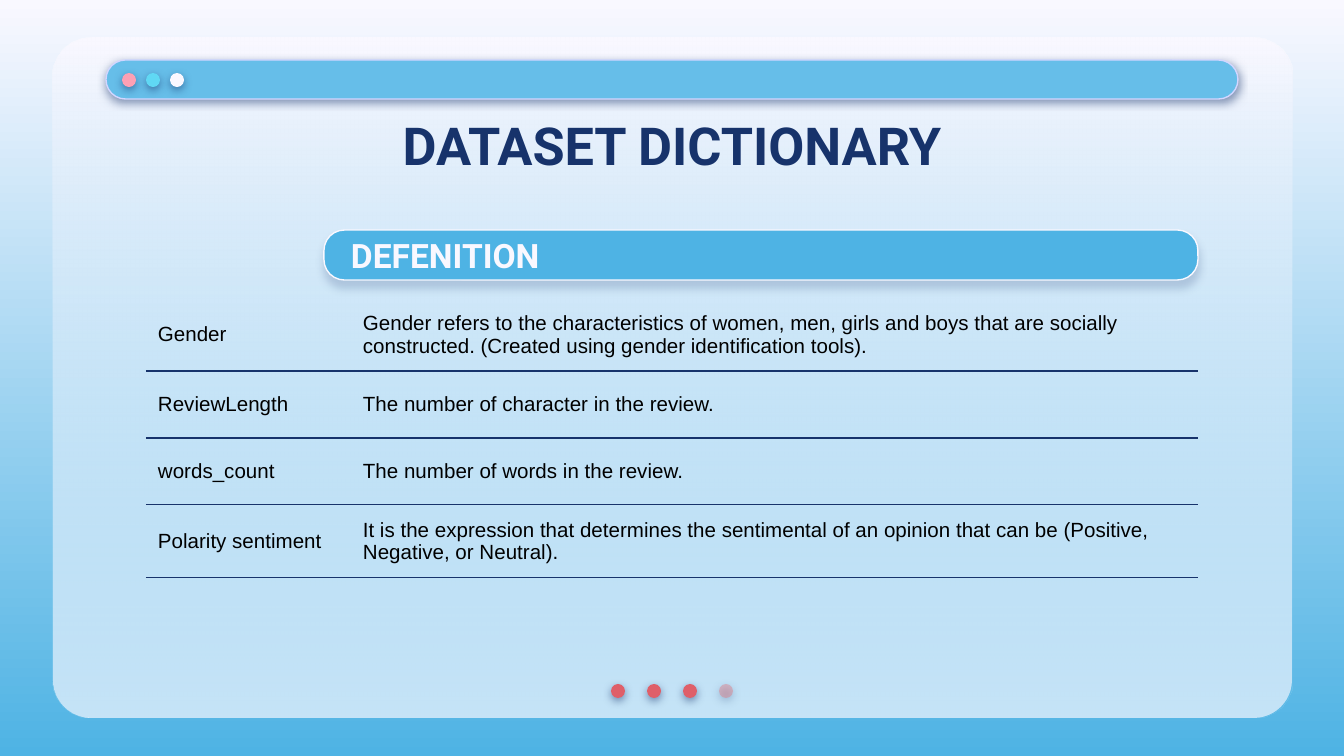
from dataclasses import dataclass

from lxml import etree
from pptx import Presentation
from pptx import util as u
from pptx.dml.color import RGBColor
from pptx.enum import shapes, text
from pptx.oxml import ns

PX = 914400 / 134.4


@dataclass(frozen=True)
class Theme:
    navy: str = "17336B"
    sky: str = "4EB3E4"
    light_sky: str = "66BEE9"
    paper: str = "F9F8FF"
    lilac: str = "D2D6FF"
    pink: str = "FDA0B4"
    cyan: str = "60D8F4"
    red: str = "DF5F69"
    faded_red: str = "E27B83"
    black: str = "000000"
    heading: str = "Roboto"
    body: str = "Arial"
    title_size: int = 28
    header_size: int = 18
    body_size: int = 11
    line: float = 0.75


THEME = Theme()
ROWS = [
    ("", "DEFENITION"),
    ("Gender", "Gender refers to the characteristics of women, men, girls and boys "
               "that are socially constructed. (Created using gender identification tools)."),
    ("ReviewLength", "The number of character in the review."),
    ("words_count", "The number of words in the review."),
    ("Polarity sentiment", "It is the expression that determines the sentimental of an opinion "
                           "that can be (Positive, Negative, or Neutral)."),
]


def px(value):
    return u.Emu(round(value * PX))


def rgb(color):
    return RGBColor.from_string(color)


def child(parent, tag, **attributes):
    return etree.SubElement(parent, ns.qn(tag), {k: str(v) for k, v in attributes.items()})


def set_alpha(fill_element, percent):
    for color in fill_element.iter(ns.qn("a:srgbClr")):
        child(color, "a:alpha", val=percent * 1000)


def set_gradient(fill, top, bottom):
    fill.gradient()
    fill.gradient_angle = 270
    for stop, color, position in zip(fill.gradient_stops, (top, bottom), (0, 1)):
        stop.color.rgb = rgb(color)
        stop.position = position


def write(frame, content, *, size, font, color, bold=False, align=None, margins=(0, 0)):
    frame.word_wrap = True
    frame.vertical_anchor = text.MSO_ANCHOR.MIDDLE
    frame.margin_left = frame.margin_right = px(margins[0])
    frame.margin_top = frame.margin_bottom = px(margins[1])
    paragraph = frame.paragraphs[0]
    paragraph.alignment = align
    run = paragraph.add_run()
    run.text = content
    run.font.size = u.Pt(size)
    run.font.name = font
    run.font.bold = bold
    run.font.color.rgb = rgb(color)


class SlideBuilder:
    def __init__(self, slide, theme):
        self.slide = slide
        self.theme = theme

    def background(self):
        set_gradient(self.slide.background.fill, self.theme.paper, self.theme.sky)

    def shape(self, kind, box, fill, line=None, radius=None, alpha=None, shadow=None):
        shape = self.slide.shapes.add_shape(kind, *map(px, box))
        shape.shadow.inherit = False
        if radius is not None:
            shape.adjustments[0] = radius
        shape.fill.solid()
        shape.fill.fore_color.rgb = rgb(fill)
        if alpha:
            set_alpha(shape._element.spPr.find(ns.qn("a:solidFill")), alpha)
        if line:
            shape.line.color.rgb = rgb(line)
            shape.line.width = u.Pt(self.theme.line)
        else:
            shape.line.fill.background()
        if shadow:
            self.shadow(shape, *shadow)
        return shape

    def shadow(self, shape, opacity, distance):
        effects = shape._element.spPr.find(ns.qn("a:effectLst"))
        outer = child(effects, "a:outerShdw", blurRad=u.Pt(4.5), dist=u.Pt(distance),
                      dir=5400000, algn="bl", rotWithShape=0)
        child(outer, "a:srgbClr", val=self.theme.navy)
        set_alpha(outer, opacity)

    def rounded(self, box, fill, **options):
        return self.shape(shapes.MSO_SHAPE.ROUNDED_RECTANGLE, box, fill, **options)

    def panel(self, box):
        self.rounded(box, self.theme.paper, radius=0.056)
        overlay = self.rounded(box, self.theme.paper, radius=0.056)
        set_gradient(overlay.fill, self.theme.paper, self.theme.light_sky)
        stops = overlay._element.spPr.findall(".//" + ns.qn("a:gs"))
        set_alpha(stops[-1], 35)

    def dots(self, left, top, step, colors):
        for index, (color, alpha) in enumerate(colors):
            self.shape(shapes.MSO_SHAPE.OVAL, (left + index * step, top, 14, 14),
                       color, alpha=alpha, shadow=(50, 1.5))

    def title(self, content, box):
        frame = self.slide.shapes.add_textbox(*map(px, box)).text_frame
        write(frame, content, size=self.theme.title_size, font=self.theme.heading,
              color=self.theme.navy, bold=True, align=text.PP_ALIGN.CENTER, margins=(13, 13))

    def borders(self, cell, ruled_sides):
        properties = cell._tc.get_or_add_tcPr()
        for side in ("L", "R", "T", "B"):
            border = child(properties, f"a:ln{side}", w=u.Pt(self.theme.line))
            if side in ruled_sides:
                child(child(border, "a:solidFill"), "a:srgbClr", val=self.theme.navy)
            else:
                child(border, "a:noFill")

    def table(self, rows, left, top, widths, heights):
        box = (left, top, sum(widths), sum(heights))
        table = self.slide.shapes.add_table(len(rows), len(widths), *map(px, box)).table
        table.first_row = table.horz_banding = False
        for column, width in zip(table.columns, widths):
            column.width = px(width)
        for row, height in zip(table.rows, heights):
            row.height = px(height)
        header = dict(size=self.theme.header_size, font=self.theme.heading,
                      color=self.theme.paper, bold=True, margins=(0, 13))
        body = dict(size=self.theme.body_size, font=self.theme.body,
                    color=self.theme.black, margins=(12, 6))
        for row_index, row in enumerate(rows):
            ruled_sides = ("", "B")[row_index > 0] + ("", "T")[row_index > 1]
            for column_index, content in enumerate(row):
                cell = table.cell(row_index, column_index)
                self.borders(cell, ruled_sides)
                cell.fill.background()
                if content:
                    self.cell_text(cell, content, body if row_index else header)

    def cell_text(self, cell, content, style):
        horizontal, vertical = style["margins"]
        write(cell.text_frame, content, **style)
        cell.vertical_anchor = text.MSO_ANCHOR.MIDDLE
        cell.margin_left = cell.margin_right = px(horizontal)
        cell.margin_top = cell.margin_bottom = px(vertical)


def main():
    presentation = Presentation()
    presentation.slide_width, presentation.slide_height = px(1344), px(756)
    slide = presentation.slides.add_slide(presentation.slide_layouts[6])
    builder = SlideBuilder(slide, THEME)

    builder.background()
    builder.panel((53, 38, 1239, 680))
    builder.dots(611, 684, 36, [(THEME.red, None)] * 3 + [(THEME.faded_red, 44)])
    builder.rounded((106, 60, 1132, 39), THEME.light_sky, line=THEME.lilac,
                    radius=0.5, shadow=(50, 1.5))
    builder.dots(122, 73, 24, [(c, None) for c in (THEME.pink, THEME.cyan, THEME.paper)])
    builder.rounded((324, 230, 874, 50), THEME.sky, line=THEME.paper,
                    radius=0.41, shadow=(18, 3.8))
    builder.table(ROWS, 146, 216, widths=(205, 847), heights=(82, 73, 67, 67, 73))
    builder.title("DATASET DICTIONARY", (106, 103, 1132, 84))
    presentation.save("out.pptx")


if __name__ == "__main__":
    main()
